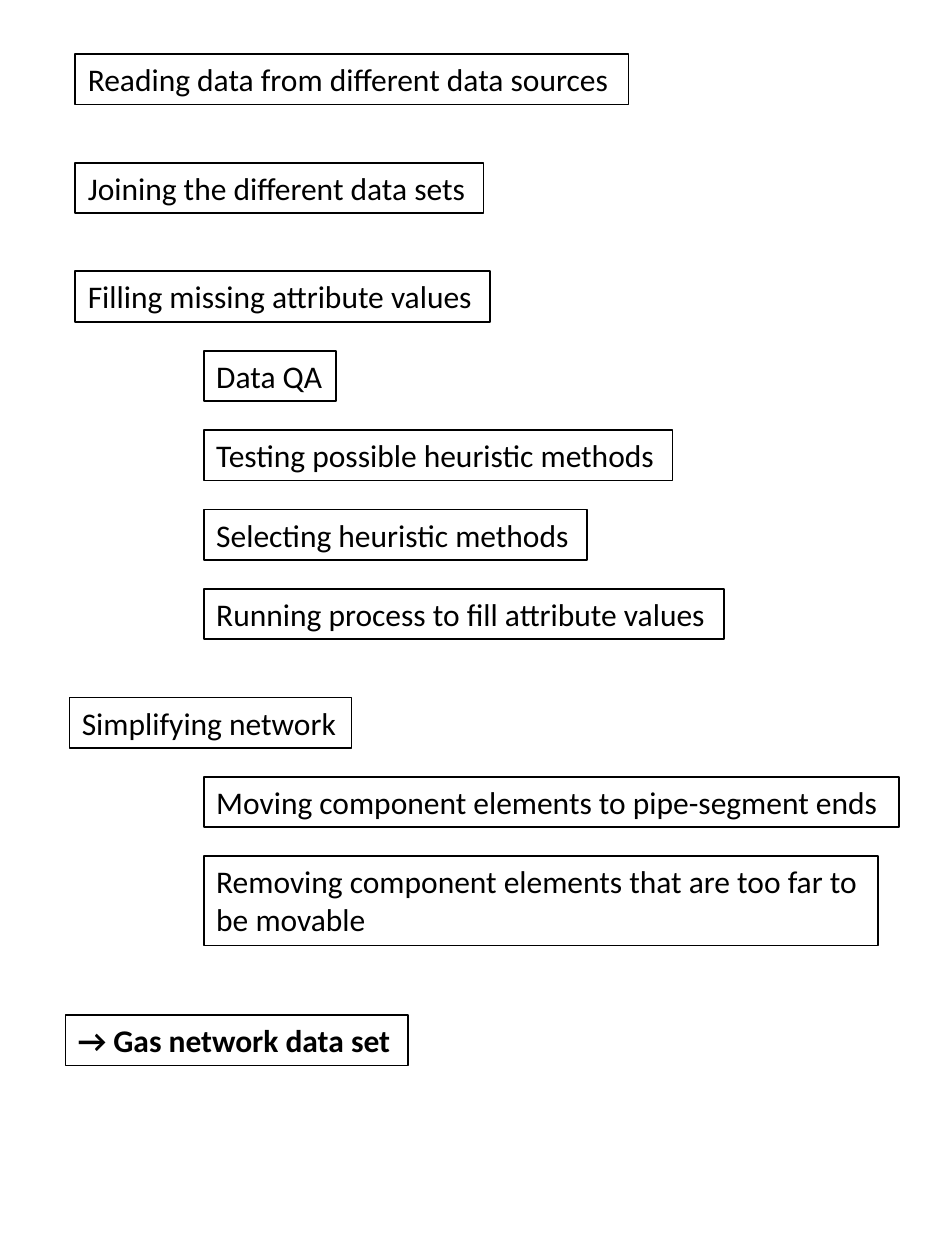
"""Build a slide that lists the steps towards a gas network data set."""
import pptx
import pptx.dml.color
import pptx.enum.text
import pptx.util

Cm = pptx.util.Cm

STAGE_LEFT = 1.52
SUBSTEP_LEFT = 4.11
STAGE_STEP = 2.19
SUBSTEP_STEP = 1.6
FIRST_TOP = 1.09
LINE_HEIGHT = 0.78
BOX_PADDING = 0.24

STEPS = [
    ("Reading data from different data sources", STAGE_LEFT, 11.15, 0),
    ("Joining the different data sets", STAGE_LEFT, 8.23, STAGE_STEP),
    ("Filling missing attribute values", STAGE_LEFT, 8.36, STAGE_STEP),
    ("Data QA", SUBSTEP_LEFT, 2.67, SUBSTEP_STEP),
    ("Testing possible heuristic methods", SUBSTEP_LEFT, 9.45, SUBSTEP_STEP),
    ("Selecting heuristic methods", SUBSTEP_LEFT, 7.72, SUBSTEP_STEP),
    ("Running process to fill attribute values", SUBSTEP_LEFT, 10.49, SUBSTEP_STEP),
    ("Simplifying network", 1.4, 5.69, STAGE_STEP),
    ("Moving component elements to pipe-segment ends", SUBSTEP_LEFT, 14.02, SUBSTEP_STEP),
    ("Removing component elements that are too far to\vbe movable", SUBSTEP_LEFT, 13.59, SUBSTEP_STEP),
]
RESULT = ("→ Gas network data set", 1.32, 6.91, 2 * SUBSTEP_STEP)


def color(hex_string):
    """Return the colour for a hex string."""
    return pptx.dml.color.RGBColor.from_string(hex_string)


def set_attributes(target, values):
    """Set each named value on the target."""
    for name, value in values.items():
        setattr(target, name, value)


def add_step(slide, text, left, top, width, bold=False):
    """Add one outlined text box whose height follows its line count."""
    height = BOX_PADDING + LINE_HEIGHT * (text.count("\v") + 1)
    shape = slide.shapes.add_textbox(Cm(left), Cm(top), Cm(width), Cm(height))
    shape.line.color.rgb = color("000000")
    shape.line.width = pptx.util.Pt(1)
    set_attributes(shape.text_frame, {
        "word_wrap": False,
        "auto_size": pptx.enum.text.MSO_AUTO_SIZE.SHAPE_TO_FIT_TEXT,
    })
    paragraph = shape.text_frame.paragraphs[0]
    paragraph.text = text
    for run in paragraph.runs:
        set_attributes(run.font, {"name": "Calibri", "size": pptx.util.Pt(18), "bold": bold})
        run.font.color.rgb = color("000000")


def main():
    """Build and save the presentation."""
    presentation = pptx.Presentation()
    set_attributes(presentation, {"slide_width": Cm(19.05), "slide_height": Cm(25.4)})
    slide = presentation.slides.add_slide(presentation.slide_layouts[6])
    top = FIRST_TOP
    for step in STEPS + [RESULT]:
        text, left, width, distance = step
        top += distance
        add_step(slide, text, left, top, width, bold=step is RESULT)
    presentation.save("out.pptx")


if __name__ == "__main__":
    main()
